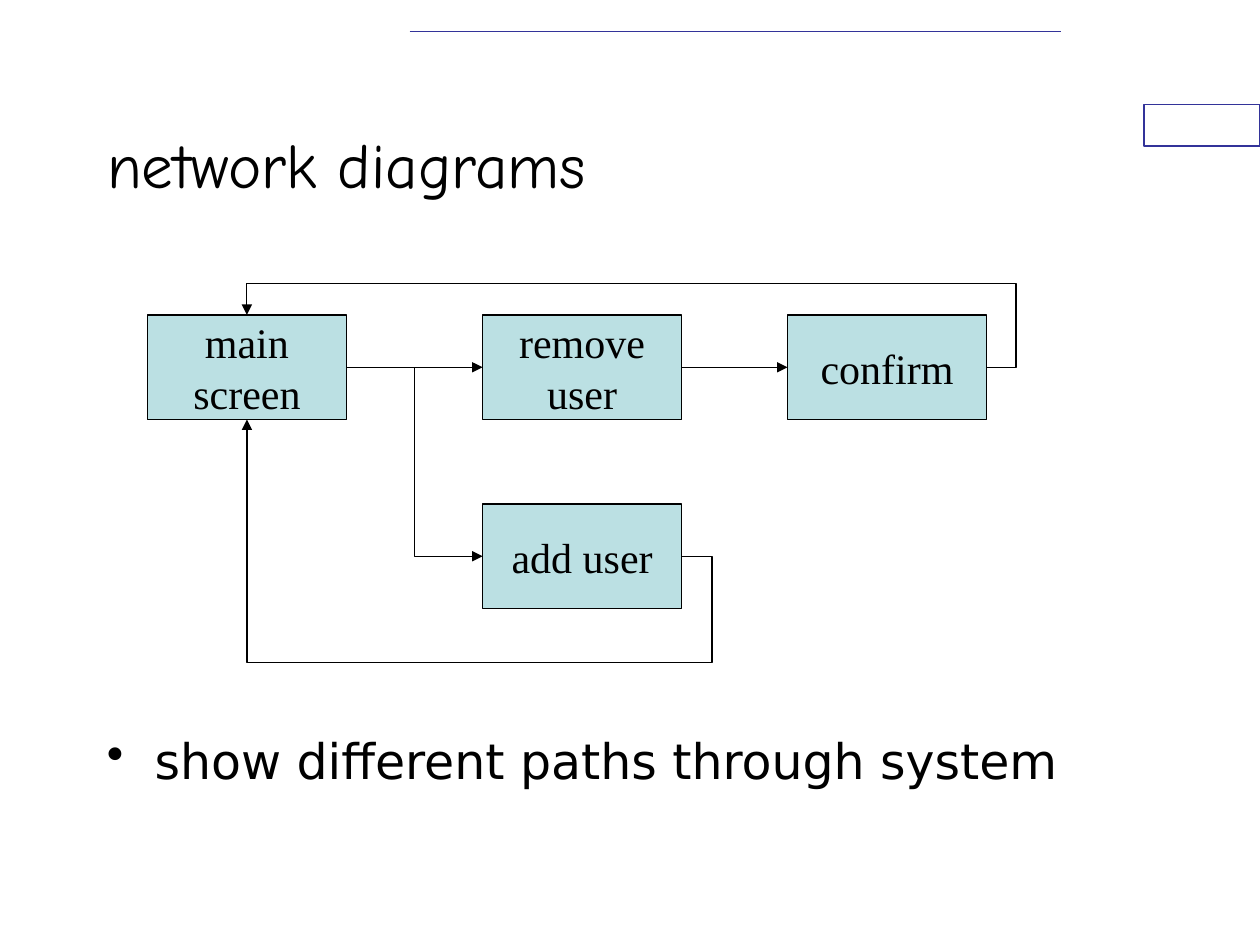
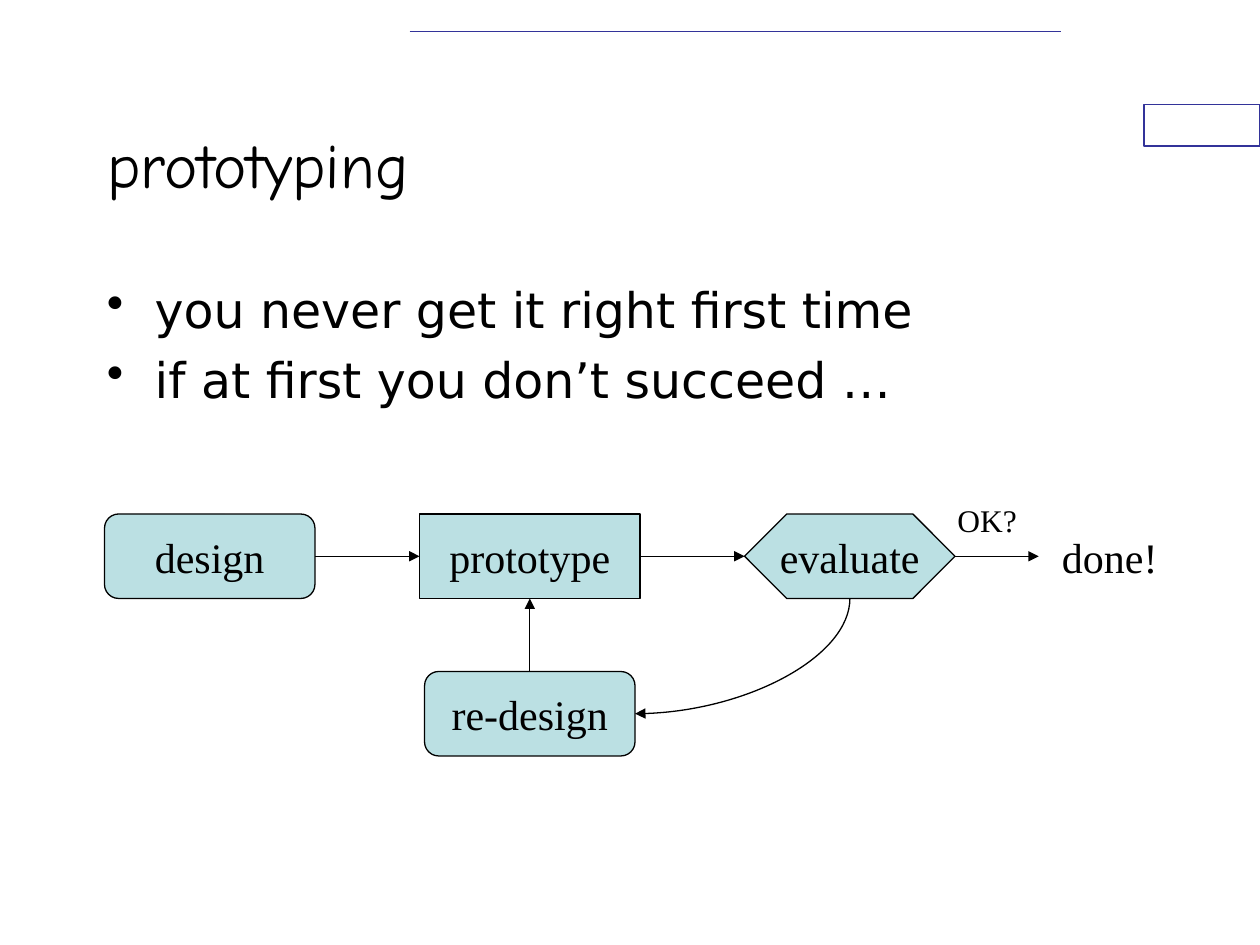
import dataclasses

import lxml.etree
import pptx
import pptx.dml.color
import pptx.enum.shapes
import pptx.enum.text
import pptx.oxml.ns
import pptx.util

Inches = pptx.util.Inches
Pt = pptx.util.Pt
qn = pptx.oxml.ns.qn
SHAPE = pptx.enum.shapes.MSO_SHAPE
LINE = pptx.enum.shapes.MSO_CONNECTOR
ALIGN = pptx.enum.text.PP_ALIGN
ANCHOR = pptx.enum.text.MSO_ANCHOR
FIT = pptx.enum.text.MSO_AUTO_SIZE
TOP, LEFT, BOTTOM, RIGHT = range(4)


@dataclasses.dataclass(frozen=True)
class Theme:
    ink: str = "000000"
    paper: str = "FFFFFF"
    trim: str = "333399"
    node: str = "BBE0E3"
    title_font: str = "Comic Neue"
    body_font: str = "DejaVu Sans"
    flow_font: str = "Times New Roman"
    title_size: int = 36
    body_size: int = 28
    flow_size: int = 24
    note_size: int = 18
    thin: float = 0.75
    rule: float = 1


THEME = Theme()


def rgb(code):
    return pptx.dml.color.RGBColor.from_string(code)


def write(frame, text, font=THEME.flow_font, size=THEME.flow_size,
          align=ALIGN.LEFT, anchor=ANCHOR.TOP, wrap=True, fit=FIT.NONE,
          bullet=False):
    """Fill a text frame, one paragraph for each line of text."""
    frame.word_wrap = wrap
    frame.auto_size = fit
    frame.vertical_anchor = anchor
    frame.text = text
    for para in frame.paragraphs:
        para.alignment = align
        para.font.name = font
        para.font.size = Pt(size)
        para.font.color.rgb = rgb(THEME.ink)
        for run in para.runs:
            run.font.name = font
            run.font.size = Pt(size)
            run.font.color.rgb = rgb(THEME.ink)
        if bullet:
            para.space_before = Pt(6.5)
            props = para._p.get_or_add_pPr()
            props.set("marL", str(Inches(0.38)))
            props.set("indent", str(-Inches(0.38)))
            mark = lxml.etree.Element(qn("a:buChar"), char="•")
            rest = props.find(qn("a:defRPr"))
            rest.addprevious(mark)


def shape(slide, kind, box, fill, edge):
    item = slide.shapes.add_shape(kind, *map(Inches, box))
    item.shadow.inherit = False
    item.fill.solid()
    item.fill.fore_color.rgb = rgb(fill)
    item.line.color.rgb = rgb(edge)
    item.line.width = Pt(THEME.thin)
    return item


def node(slide, kind, box, text):
    item = shape(slide, kind, box, THEME.node, THEME.ink)
    write(item.text_frame, text, align=ALIGN.CENTER, anchor=ANCHOR.MIDDLE,
          wrap=False)
    return item


def label(slide, box, text, **form):
    item = slide.shapes.add_textbox(*map(Inches, box))
    write(item.text_frame, text, **form)


def line(slide, start, end, color=THEME.ink, width=THEME.thin,
         kind=LINE.STRAIGHT, arrow=None):
    """Draw a line; arrow is headEnd (at start) or tailEnd (at end)."""
    item = slide.shapes.add_connector(kind, *map(Inches, start + end))
    item.line.color.rgb = rgb(color)
    item.line.width = Pt(width)
    if arrow:
        stroke = item.line._get_or_add_ln()
        lxml.etree.SubElement(stroke, qn("a:" + arrow), type="triangle")
    lxml.etree.SubElement(item._element.spPr, qn("a:effectLst"))
    return item


def link(slide, first, out, last, into, kind=LINE.STRAIGHT, arrow="tailEnd",
         preset=None, bends=()):
    """Join a side of one node to a side of another."""
    item = line(slide, (0, 0), (0, 0), kind=kind, arrow=arrow)
    item.begin_connect(first, out)
    item.end_connect(last, into)
    geom = item._element.spPr.find(qn("a:prstGeom"))
    if preset:
        geom.set("prst", preset)
    for num, bend in enumerate(bends, 1):
        lxml.etree.SubElement(geom.find(qn("a:avLst")), qn("a:gd"),
                              name=f"adj{num}",
                              fmla=f"val {round(bend * 100000)}")


def frame(deck, title):
    """Add a slide with the shared trim and its title."""
    slide = deck.slides.add_slide(deck.slide_layouts[5])
    shape(slide, SHAPE.RECTANGLE, (9.08, 0.83, 0.92, 0.33), THEME.paper,
          THEME.trim)
    line(slide, (3.25, 0.25), (8.42, 0.25), THEME.trim, THEME.rule)
    head = slide.shapes.title
    head.left, head.top, head.width, head.height = map(
        Inches, (0.75, 0.67, 7.5, 1.25))
    write(head.text_frame, title, THEME.title_font, THEME.title_size,
          anchor=ANCHOR.MIDDLE)
    return slide


def points(slide, box, text):
    label(slide, box, text, font=THEME.body_font, size=THEME.body_size,
          bullet=True)


def network(slide, x, y):
    wide, high = 1.58, 0.83

    def screen(dx, dy, text):
        return node(slide, SHAPE.FLOWCHART_PROCESS,
                    (x + dx, y + dy, wide, high), text)

    main = screen(0, 0, "main\nscreen")
    remove = screen(2.66, 0, "remove\nuser")
    confirm = screen(5.08, 0, "confirm")
    add = screen(2.66, 1.5, "add user")
    link(slide, main, RIGHT, remove, LEFT)
    link(slide, main, RIGHT, add, LEFT, LINE.ELBOW)
    link(slide, remove, RIGHT, confirm, LEFT)
    for last, side, bends in ((confirm, TOP, (-0.04, 1.6)),
                              (add, BOTTOM, (-0.07, -0.78))):
        link(slide, last, RIGHT, main, side, LINE.ELBOW,
             preset="bentConnector4", bends=bends)


def cycle(slide, x, y):
    wide, high, gap = 1.67, 0.67, 0.83
    mid = y + high / 2
    steps = []
    left = x
    for kind, width, text in (
            (SHAPE.FLOWCHART_ALTERNATE_PROCESS, wide, "design"),
            (SHAPE.FLOWCHART_PROCESS, 1.75, "prototype"),
            (SHAPE.FLOWCHART_PREPARATION, wide, "evaluate")):
        steps.append(node(slide, kind, (left, y, width, high), text))
        left += width + gap
    design, proto, judge = steps
    again = node(slide, SHAPE.FLOWCHART_ALTERNATE_PROCESS,
                 (x + 2.54, y + 1.25, wide, high), "re-design")
    link(slide, design, RIGHT, proto, LEFT)
    link(slide, proto, RIGHT, judge, LEFT)
    link(slide, again, TOP, proto, BOTTOM)
    link(slide, again, RIGHT, judge, BOTTOM, LINE.CURVE, "headEnd",
         "curvedConnector2")
    edge = left - gap
    line(slide, (edge, mid), (edge + gap * 0.8, mid), arrow="tailEnd")
    label(slide, (x + 7.5, y + 0.09, 0.96, 0.5), "done!", wrap=False,
          fit=FIT.SHAPE_TO_FIT_TEXT)
    label(slide, (x + 6.67, y - 0.15, 0.67, 0.4), "OK?", wrap=False,
          size=THEME.note_size, fit=FIT.SHAPE_TO_FIT_TEXT)


def main():
    deck = pptx.Presentation()
    deck.slide_width, deck.slide_height = Inches(10), Inches(7.5)

    slide = frame(deck, "network diagrams")
    points(slide, (0.75, 5.75, 8.5, 0.92),
           "show different paths through system")
    network(slide, 1.17, 2.5)

    slide = frame(deck, "prototyping")
    points(slide, (0.75, 2.17, 8.5, 4.5),
           "you never get it right first time\n"
           "if at first you don’t succeed …")
    cycle(slide, 0.83, 4.08)

    deck.save("out.pptx")


if __name__ == "__main__":
    main()
